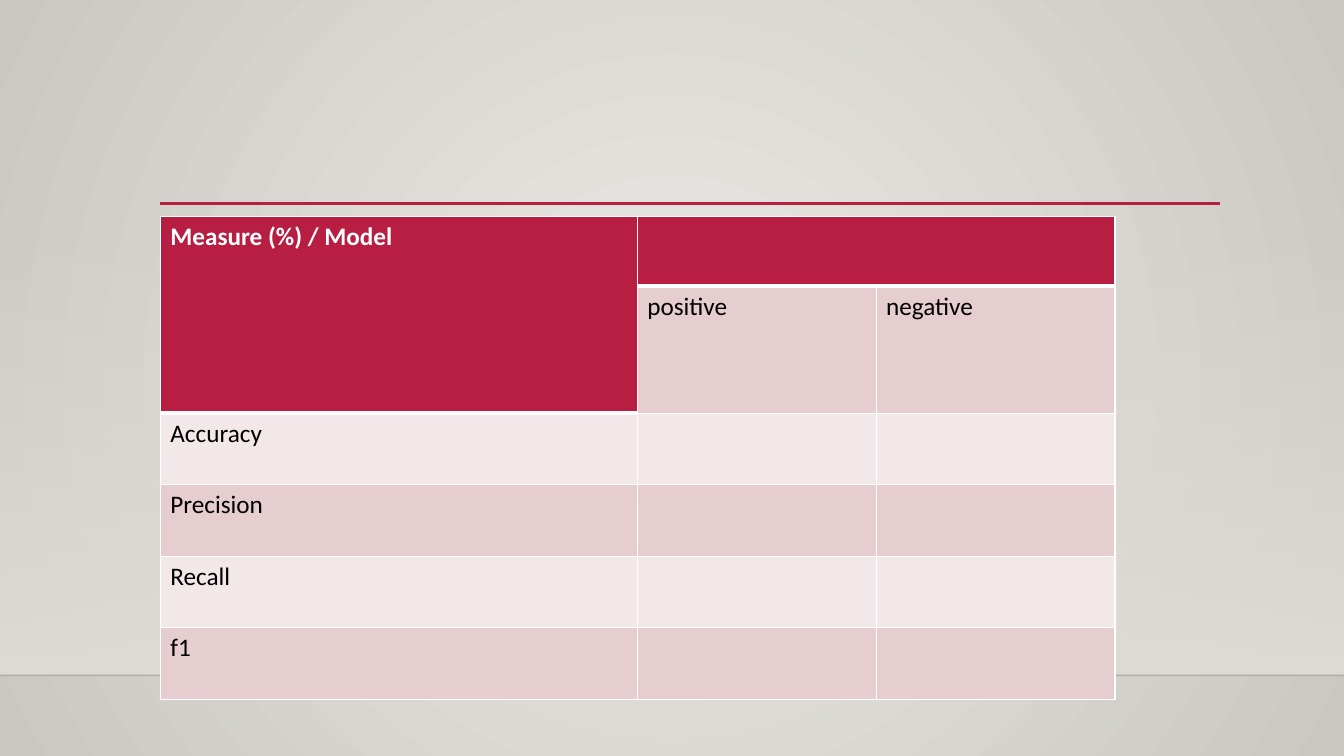
from lxml import etree
from pptx import Presentation
from pptx.dml.color import RGBColor
from pptx.enum.shapes import MSO_CONNECTOR, MSO_SHAPE
from pptx.oxml import parse_xml
from pptx.oxml.ns import nsdecls, qn
from pptx.util import Inches, Pt

STRAIGHT = MSO_CONNECTOR.STRAIGHT
RECTANGLE = MSO_SHAPE.RECTANGLE
WIDTH, HEIGHT = 13.33, 7.5
FLOOR = 6.7
FONT = "Calibri"
COLORS = {
    "glow": "ECEAE7", "edge": "CAC7C1", "wall": "DFDBD5", "floor": "000001",
    "accent": "B71E42", "band": "E6CDCF", "pale": "F3E8E9",
    "white": "FFFFFF", "black": "000000",
}
COLUMNS = [4.73, 2.37, 2.37]
ROWS = [0.69, 1.26] + [0.71] * 4
CONTENT = [
    ["Measure (%) / Model", "", ""],
    ["", "positive", "negative"],
    ["Accuracy", "", ""],
    ["Precision", "", ""],
    ["Recall", "", ""],
    ["f1", "", ""],
]


def rgb(name):
    """Return the named colour."""
    return RGBColor.from_string(COLORS[name])


def gradient(stops, direction):
    """Build a gradient fill from (position, colour, opacity) stops in percent."""
    marks = "".join(
        f'<a:gs pos="{position * 1000}"><a:srgbClr val="{COLORS[name]}">'
        f'<a:alpha val="{opacity * 1000}"/></a:srgbClr></a:gs>'
        for position, name, opacity in stops
    )
    return parse_xml(
        f'<a:gradFill {nsdecls("a")} rotWithShape="1">'
        f"<a:gsLst>{marks}</a:gsLst>{direction}</a:gradFill>"
    )


def replace_gradient(properties, fill):
    """Swap the gradient inside the given properties element."""
    properties.replace(properties.find(qn("a:gradFill")), fill)


def add_rule(slide, left, right, top, color, weight, opacity=100):
    """Draw a horizontal line."""
    rule = slide.shapes.add_connector(
        STRAIGHT, Inches(left), Inches(top), Inches(right), Inches(top))
    rule.line.color.rgb = rgb(color)
    rule.line.width = Pt(weight)
    properties = rule._element.spPr
    etree.SubElement(properties, qn("a:effectLst"))
    if opacity < 100:
        shade = next(properties.iter(qn("a:srgbClr")))
        etree.SubElement(shade, qn("a:alpha"), val=str(opacity * 1000))


def add_backdrop(slide):
    """Paint the lit wall and the floor edge."""
    fill = slide.background.fill
    fill.gradient()
    center = ('<a:path path="circle"><a:fillToRect l="50000" t="50000" '
              'r="50000" b="50000"/></a:path>')
    replace_gradient(slide._element.cSld.find(qn("p:bg")).find(qn("p:bgPr")),
                     gradient([(0, "glow", 100), (100, "edge", 100)], center))
    wall = slide.shapes.add_shape(
        RECTANGLE, 0, Inches(2.21), Inches(WIDTH), Inches(FLOOR - 2.21))
    wall.shadow.inherit = False
    wall.line.fill.background()
    wall.fill.gradient()
    replace_gradient(wall._element.spPr,
                     gradient([(0, "wall", 0), (100, "wall", 100)],
                              '<a:lin ang="5400000" scaled="0"/>'))
    add_rule(slide, 0, WIDTH, FLOOR, "floor", 1, 20)


def style_cell(cell, text, fill, header):
    """Set a cell's text, borders and fill."""
    cell.text = text
    font = cell.text_frame.paragraphs[0].font
    font.name, font.size, font.bold = FONT, Pt(18), header
    font.color.rgb = rgb("white" if header else "black")
    properties = cell._tc.get_or_add_tcPr()
    for side in "LRTB":
        weight = Pt(3 if header and side == "B" else 1)
        properties.append(parse_xml(
            f'<a:ln{side} {nsdecls("a")} w="{weight}"><a:solidFill>'
            f'<a:srgbClr val="{COLORS["white"]}"/></a:solidFill></a:ln{side}>'))
    cell.fill.solid()
    cell.fill.fore_color.rgb = rgb(fill)


def add_measures(slide, left, top):
    """Place the table of measures by model."""
    table = slide.shapes.add_table(
        len(ROWS), len(COLUMNS), Inches(left), Inches(top),
        Inches(sum(COLUMNS)), Inches(sum(ROWS))).table
    for column, width in zip(table.columns, COLUMNS):
        column.width = Inches(width)
    for row, height in zip(table.rows, ROWS):
        row.height = Inches(height)
    for r, texts in enumerate(CONTENT):
        for c, text in enumerate(texts):
            header = r == 0 or (r, c) == (1, 0)
            fill = "accent" if header else "band" if r % 2 else "pale"
            style_cell(table.cell(r, c), text, fill, header)
    table.cell(0, 0).merge(table.cell(1, 0))
    table.cell(0, 1).merge(table.cell(0, 2))


def main():
    """Build and save the deck."""
    deck = Presentation()
    deck.slide_width, deck.slide_height = Inches(WIDTH), Inches(HEIGHT)
    slide = deck.slides.add_slide(deck.slide_layouts[6])
    add_backdrop(slide)
    add_rule(slide, 1.59, 12.1, 2.02, "accent", 2.5)
    add_measures(slide, 1.59, 2.15)
    deck.save("out.pptx")


if __name__ == "__main__":
    main()
